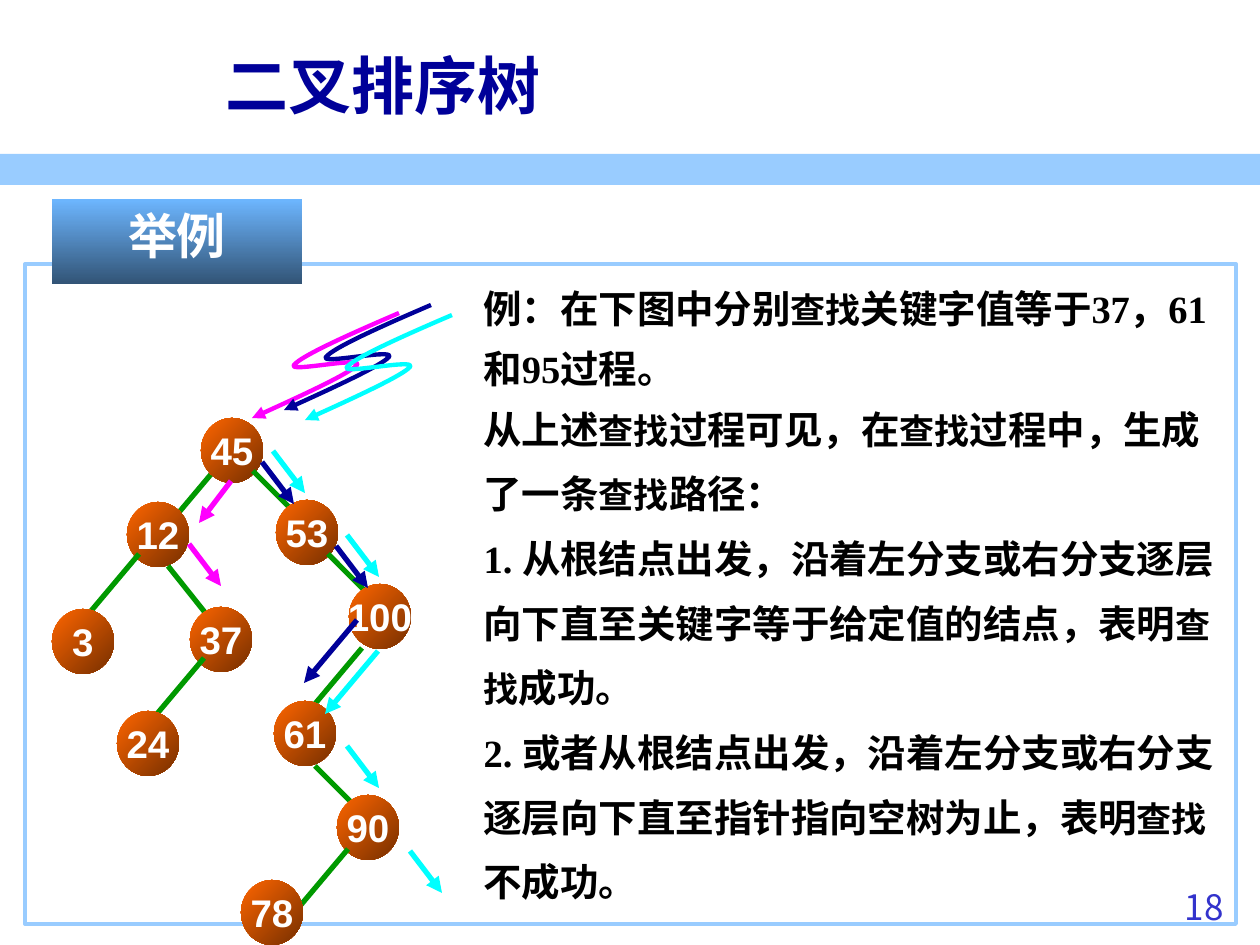
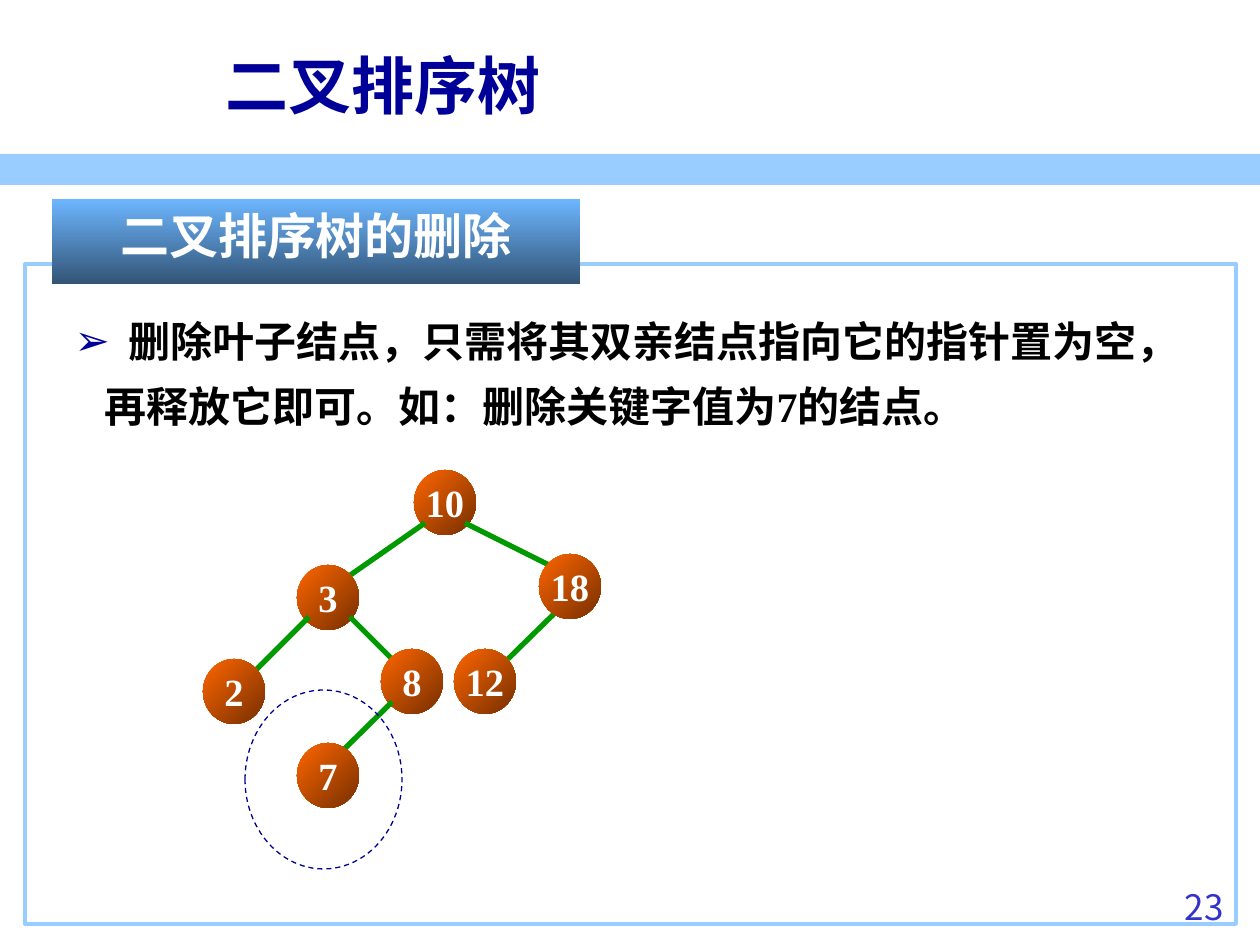
"""Build two slides on searching in and deleting from binary sort trees."""
import itertools
import lxml.etree
import pptx
import pptx.dml.color
import pptx.enum.dml
import pptx.enum.shapes
import pptx.enum.text
import pptx.oxml.ns
import pptx.util

RGB = pptx.dml.color.RGBColor
SKY = RGB(0x99, 0xCC, 0xFF)
NAVY = RGB(0x00, 0x00, 0x99)
BLUE = RGB(0x33, 0x33, 0xCC)
GREEN = RGB(0x00, 0x99, 0x00)
PINK = RGB(0xFF, 0x00, 0xFF)
CYAN = RGB(0x00, 0xFF, 0xFF)
WHITE = RGB(0xFF, 0xFF, 0xFF)
BLACK = RGB(0x00, 0x00, 0x00)
TAB = [RGB(0x6D, 0xB6, 0xFF), RGB(0x32, 0x54, 0x76)]
BALL = [RGB(0xFF, 0x66, 0x00), RGB(0x76, 0x2F, 0x00)]

SANS, KOREAN = "Noto Sans CJK SC", "Noto Sans CJK KR"
ROMAN, ARIAL = "Times New Roman", "Arial"
RECT = pptx.enum.shapes.MSO_SHAPE.RECTANGLE
OVAL = pptx.enum.shapes.MSO_SHAPE.OVAL
ALIGN = pptx.enum.text.PP_ALIGN
MIDDLE = pptx.enum.text.MSO_ANCHOR.MIDDLE

KEY = "查找"
NODE = (62, 65)
CURVE = [(147, 0), (98, 21), (49, 43), (42, 52), (35, 60), (112, 43),
         (105, 52), (98, 60), (49, 83), (0, 105)]
LEFT, RIGHT, DEEP = (-53, 63), (42, 42), (51, 64)
BACK, DOWN = (-32, 42), (32, 42)

TITLE = "二叉排序树"
SLIDES = [
    {
        "page": "18", "tab": "举例", "width": 250, "face": ARIAL,
        "lead": "例：在下图中分别查找关键字值等于37，61和95过程。",
        "body": [
            "从上述查找过程可见，在查找过程中，生成了一条查找路径：",
            "1. 从根结点出发，沿着左分支或右分支逐层向下直至关键字等于给定值的结点，表明查找成功。",
            "2. 或者从根结点出发，沿着左分支或右分支逐层向下直至指针指向空树为止，表明查找不成功。",
        ],
        "place": (471, 381, 756, 530), "size": 22, "space": 1.4,
        "nodes": [
            ("12", (127, 502), (223, 460), LEFT),
            ("45", (201, 418), None, None),
            ("53", (276, 500), (253, 471), RIGHT),
            ("3", (52, 609), (139, 554), LEFT),
            ("37", (190, 607), (168, 566), DEEP),
            ("100", (349, 584), (328, 554), RIGHT),
            ("24", (117, 711), (204, 658), LEFT),
            ("61", (274, 701), (362, 648), LEFT),
            ("90", (337, 795), (315, 766), RIGHT),
            ("78", (241, 880), (348, 849), LEFT),
        ],
        "routes": [
            (PINK, (252, 313), [((231, 481), BACK), ((189, 544), DOWN)]),
            (NAVY, (284, 305), [((262, 462), DOWN), ((336, 546), DOWN),
                                ((357, 620), LEFT)]),
            (CYAN, (305, 315), [((273, 451), DOWN), ((347, 535), DOWN),
                                ((378, 651), LEFT), ((347, 746), DOWN),
                                ((410, 851), DOWN)]),
        ],
    },
    {
        "page": "23", "tab": "二叉排序树的删除", "width": 528, "face": ROMAN,
        "body": ["\t删除叶子结点，只需将其双亲结点指向它的指针置为空，再释放它即可。"
                 "如：删除关键字值为7的结点。"],
        "place": (62, 294, 1134, 169), "size": 24, "space": 1.3,
        "bullet": "➢",
        "nodes": [
            ("12", (454, 649), (561, 607), (-53, 52)),
            ("10", (414, 470), None, None),
            ("18", (539, 554), (465, 523), (84, 42)),
            ("3", (297, 565), (425, 523), (-76, 53)),
            ("8", (381, 649), (350, 617), RIGHT),
            ("2", (203, 659), (309, 617), (-53, 53)),
            ("7", (297, 743), (392, 702), (-74, 73)),
        ],
        "ring": (245, 690, 157, 179),
    },
]


def px(*nums):
    return [pptx.util.Emu(round(n * 914400 / 126)) for n in nums]


def add(node, tag, **attrs):
    return lxml.etree.SubElement(node, pptx.oxml.ns.qn(tag), attrs)


def put(item, values):
    for name, value in values.items():
        setattr(item, name, value)


def write(para, text, size, face, color, bold=True):
    """Add the text as runs, with the key word in its own face and size."""
    words = [[KEY, part] for part in text.split(KEY)]
    for word in list(itertools.chain(*words))[1:]:
        if not word:
            continue
        run = para.add_run()
        run.text = word
        key = word == KEY
        name = KOREAN if key else face
        put(run.font, {"size": pptx.util.Pt(20 if key else size),
                       "name": name, "bold": bold})
        run.font.color.rgb = color
        east = name if name in (SANS, KOREAN) else SANS
        add(run._r.get_or_add_rPr(), "a:ea", typeface=east)


def stroke(item, color, width, head=False):
    item.line.color.rgb = color
    item.line.width = pptx.util.Pt(width)
    if head:
        add(item.element.find(".//" + pptx.oxml.ns.qn("a:ln")),
            "a:tailEnd", type="triangle")


def shape(shapes, kind, box, fill=None, angle=0):
    """Add a preset shape; a list of colours fills it with a gradient."""
    item = shapes.add_shape(kind, *px(*box))
    item.shadow.inherit = False
    item.line.fill.background()
    if isinstance(fill, list):
        item.fill.gradient()
        item.fill.gradient_angle = 360 - angle
        for stop, color in zip(item.fill.gradient_stops, fill):
            stop.color.rgb = color
    elif fill is not None:
        item.fill.solid()
        item.fill.fore_color.rgb = fill
    else:
        item.fill.background()
    return item


def link(shapes, start, step, color, head=False):
    ends = px(*start, start[0] + step[0], start[1] + step[1])
    item = shapes.add_connector(pptx.enum.shapes.MSO_CONNECTOR.STRAIGHT, *ends)
    stroke(item, color, 3, head)
    add(item.element.spPr, "a:effectLst")


def curve(shapes, spot, color):
    """Draw the entry arrow as three joined Bezier arcs."""
    points = [px(spot[0] + x, spot[1] + y) for x, y in CURVE]
    form = shapes.build_freeform(*points[0])
    form.add_line_segments(points[1:], close=False)
    item = form.convert_to_shape()
    item.shadow.inherit = False
    item.fill.background()
    stroke(item, color, 2.5, True)
    trace = item.element.find(".//" + pptx.oxml.ns.qn("a:path"))
    lines = trace.findall(pptx.oxml.ns.qn("a:lnTo"))
    for i in range(0, len(lines), 3):
        arc = add(trace, "a:cubicBezTo")
        for line in lines[i:i + 3]:
            arc.append(line[0])
            trace.remove(line)


def text(shapes, box, words, size, face, color, align, space=1.0, bold=True):
    item = shapes.add_textbox(*px(*box))
    item.text_frame.word_wrap = True
    para = item.text_frame.paragraphs[0]
    put(para, {"alignment": align, "line_spacing": space})
    write(para, words, size, face, color, bold)


def place(item, box):
    put(item, dict(zip(("left", "top", "width", "height"), px(*box))))
    put(item.text_frame, {"auto_size": pptx.enum.text.MSO_AUTO_SIZE.NONE,
                          "word_wrap": True})


def body(item, data):
    place(item, data["place"])
    frame = item.text_frame
    for i, words in enumerate(data["body"]):
        para = frame.add_paragraph() if i else frame.paragraphs[0]
        props = para._p.get_or_add_pPr()
        indent = px(30 if "bullet" in data else 0)[0]
        props.set("marL", str(indent))
        props.set("indent", str(-indent))
        if indent:
            add(add(props, "a:buClr"), "a:srgbClr", val=str(NAVY))
            add(props, "a:buChar", char=data["bullet"])
            add(add(props, "a:tabLst"), "a:tab", pos=str(px(54)[0]), algn="l")
        else:
            add(props, "a:buNone")
        put(para, {"line_spacing": data["space"],
                   "space_before": pptx.util.Pt(0)})
        write(para, words, data["size"], ROMAN, BLACK)


def tree(slide, data):
    shapes = slide.shapes.add_group_shape().shapes
    for label, spot, start, step in data["nodes"]:
        if start:
            link(shapes, start, step, GREEN)
        ball = shape(shapes, OVAL, spot + NODE, BALL, 45)
        put(ball.text_frame, {"word_wrap": False, "vertical_anchor": MIDDLE})
        para = ball.text_frame.paragraphs[0]
        para.alignment = ALIGN.CENTER
        write(para, label, 22, data["face"], WHITE)


def base(slide, data):
    """Draw the title, band, page number, frame and section tab."""
    shapes = slide.shapes
    title = shapes.title
    place(title, (213, 26, 1032, 116))
    title.text_frame.vertical_anchor = MIDDLE
    para = title.text_frame.paragraphs[0]
    para.alignment = ALIGN.LEFT
    write(para, TITLE, 36, SANS, NAVY)
    shape(shapes, RECT, (0, 154, 1260, 31), SKY)
    text(shapes, (1116, 879, 120, 66), data["page"], 20, SANS, BLUE,
         ALIGN.RIGHT, bold=False)
    stroke(shape(shapes, RECT, (25, 264, 1211, 660)), SKY, 2.25)
    tab = shape(shapes, RECT, (52, 199, data["width"], 85), TAB, 90)
    tab.text_frame.vertical_anchor = pptx.enum.text.MSO_ANCHOR.TOP
    para = tab.text_frame.paragraphs[0]
    para.alignment = ALIGN.CENTER
    write(para, data["tab"], 28, KOREAN, WHITE)


def main():
    deck = pptx.Presentation()
    deck.slide_width, deck.slide_height = px(1260, 945)
    for data in SLIDES:
        slide = deck.slides.add_slide(deck.slide_layouts[1])
        base(slide, data)
        body(slide.placeholders[1], data)
        if "lead" in data:
            text(slide.shapes, (471, 265, 755, 84), data["lead"], 22, ROMAN,
                 BLACK, ALIGN.LEFT, 1.3)
        tree(slide, data)
        for color, spot, steps in data.get("routes", []):
            shapes = slide.shapes.add_group_shape().shapes
            for start, step in steps:
                link(shapes, start, step, color, True)
            curve(shapes, spot, color)
        if "ring" in data:
            ring = shape(slide.shapes, OVAL, data["ring"])
            stroke(ring, NAVY, 0.75)
            ring.line.dash_style = pptx.enum.dml.MSO_LINE.DASH
    deck.save("out.pptx")


if __name__ == "__main__":
    main()
